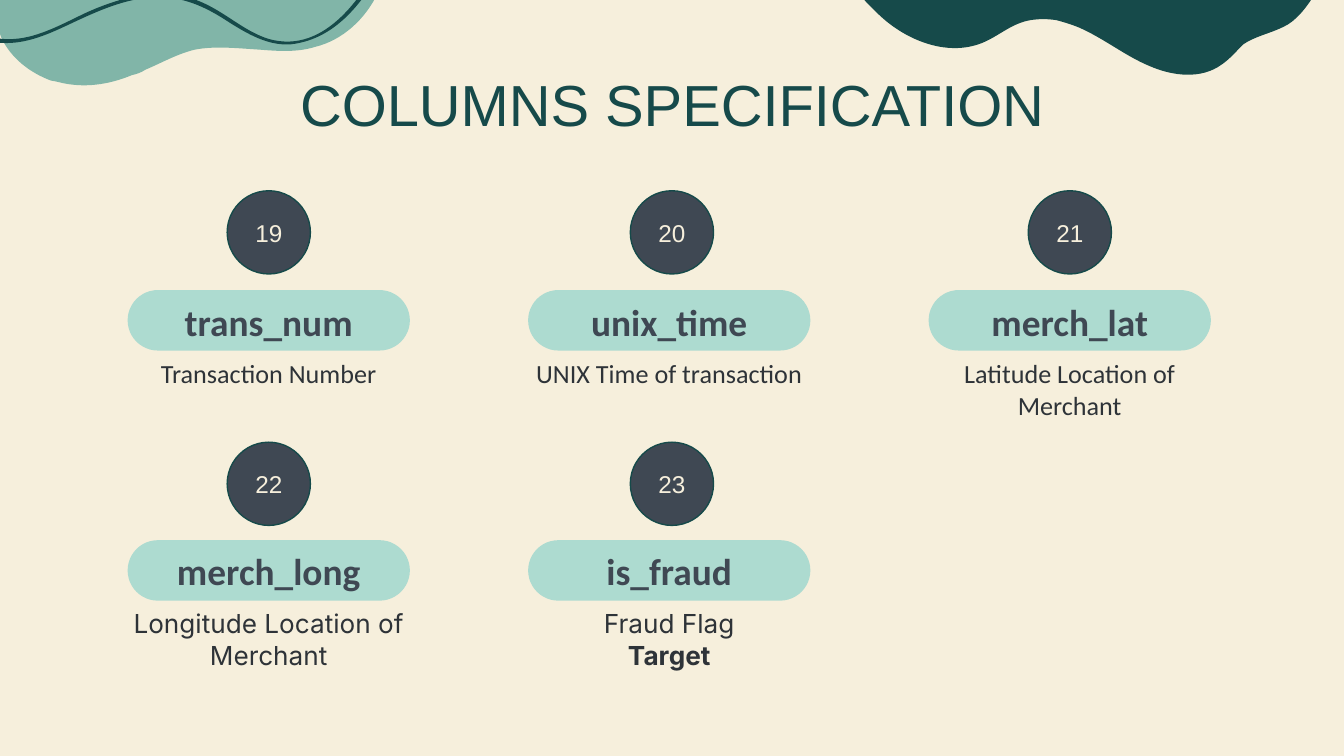
from lxml.etree import SubElement
from pptx import Presentation
from pptx.dml.color import RGBColor
from pptx.enum.shapes import MSO_SHAPE as Kind
from pptx.enum.text import MSO_ANCHOR as Anchor, PP_ALIGN as Align
from pptx.oxml.ns import qn
from pptx.util import Pt

COLORS = {
    "cream": "F6EFDC", "sage": "81B5A8", "teal": "164A4A",
    "mint": "ADDBD0", "slate": "3F4853", "ink": "2E3338",
}
TITLE = "COLUMNS SPECIFICATION"

# number, column name, description lines, description font
FIELDS = [
    ("19", "trans_num", ["Transaction Number"], "Calibri"),
    ("20", "unix_time", ["UNIX Time of transaction"], "Calibri"),
    ("21", "merch_lat", ["Latitude Location of Merchant"], "Calibri"),
    ("22", "merch_long", ["Longitude Location of Merchant"], "Inter"),
    ("23", "is_fraud", ["Fraud Flag", "Target"], "Inter"),
]
STRONG = "Target"

# Each outline: a start point, then rows of two control points and an end point
BLOB = [
    (-2.9, -3.6),
    (-2.9, 4.3, -2.2, 12.2, 0.7, 20.2),
    (5.8, 31, 15.8, 38.9, 27.4, 43.2),
    (28.8, 43.2, 30.2, 43.9, 31, 43.9),
    (44.6, 47.5, 58.3, 45.4, 70.6, 40.3),
    (73.4, 39.6, 75.6, 38.9, 77.8, 37.4),
    (86.4, 33.8, 95, 28.8, 104.4, 26.6),
    (115.2, 24.5, 127.4, 25.9, 139, 26.6),
    (149, 27.4, 159.1, 28.1, 168.5, 25.2),
    (183.6, 21.6, 195.8, 10.1, 202.3, -3.6),
]
HILL = [
    (460.1, -2.9),
    (463.7, 0.7, 467.3, 4.3, 470.9, 7.9),
    (486, 22.3, 509, 31, 527.8, 22.3),
    (535.7, 18.7, 542.9, 12.2, 552.2, 10.8),
    (556.6, 10.1, 560.9, 10.1, 565.9, 10.8),
    (571, 12.2, 576, 13.7, 580.3, 15.8),
    (592.6, 21.6, 603.4, 30.2, 615.6, 35.3),
    (628.6, 41, 643.7, 42.5, 654.5, 34.6),
    (658.8, 31.7, 662.4, 27.4, 666, 23.8),
    (672.5, 19.4, 680.4, 18, 687.6, 14.4),
    (694.1, 11.5, 699.8, 4.3, 704.2, -2.9),
]
WAVE = [
    (-46.1, -20.2),
    (-36, 1.4, -19.4, 22.3, 7.2, 20.9),
    (20.9, 20.2, 34.6, 12.2, 46.8, 6.5),
    (58.3, 1.4, 69.8, -2.2, 82.1, -3.6),
    (92.9, -4.3, 103.7, -1.4, 113, 3.6),
    (123.8, 9.4, 132.5, 17.3, 144, 20.9),
    (175, 29.5, 195.1, -3.6, 207.4, -25.9),
    (208.1, -26.6, 209.5, -25.9, 208.8, -24.5),
    (197.3, -2.9, 182.2, 20.9, 155.5, 23.8),
    (143.3, 24.5, 132.5, 18, 123.1, 12.2),
    (110.2, 3.6, 97.9, -2.2, 82.1, -1.4),
    (67, -0.7, 52.6, 5.8, 38.9, 12.2),
    (26.6, 18, 14.4, 23.8, 0.7, 23),
    (-22.3, 22.3, -38.9, 0, -47.5, -19.4),
    (-48.2, -20.2, -46.8, -21.6, -46.1, -20.2),
]
WAVES = [(BLOB, "sage"), (HILL, "teal"), (WAVE, "teal")]

COLS = 3
LEFT, STEP_X = 68.4, 214.56
PILL_W, PILL_H = 151.2, 32.4
DOT = 44.6
NUDGE = [0, 1.4, 0]  # sideways shift of the circles, per column
DOT_TOPS = [102.2, 236.9]
PILL_TOPS = [155.4, 289.4]
NAME_TOPS = [156, 289.4]
NOTE_GAP, NOTE_H = 36.2, 36


def rgb(name):
    return RGBColor.from_string(COLORS[name])


def paint(shape, fill, line=None):
    shape.shadow.inherit = False
    shape.fill.solid()
    shape.fill.fore_color.rgb = rgb(fill)
    if line:
        shape.line.color.rgb = rgb(line)
        shape.line.width = Pt(0.75)
    else:
        shape.line.fill.background()


def write(shape, lines, font, size, color, bold=False, anchor=Anchor.TOP):
    frame = shape.text_frame
    frame.text = "\n".join(lines)
    frame.word_wrap = True
    frame.vertical_anchor = anchor
    frame.margin_left = frame.margin_right = Pt(0)
    frame.margin_top = frame.margin_bottom = Pt(0)
    for para in frame.paragraphs:
        para.alignment = Align.CENTER
        for run in para.runs:
            run.font.name = font
            run.font.size = Pt(size)
            run.font.bold = bold or run.text == STRONG
            run.font.color.rgb = rgb(color)


def add_text(shapes, left, top, width, height, *args, **style):
    box = shapes.add_textbox(Pt(left), Pt(top), Pt(width), Pt(height))
    write(box, *args, **style)


def curve(shape):
    """Turn each three line segments of a freeform into one cubic curve."""
    lines = list(shape.element.iter(qn("a:lnTo")))
    for i in range(0, len(lines), 3):
        trio = lines[i:i + 3]
        track = trio[0].getparent()
        cubic = SubElement(track, qn("a:cubicBezTo"))
        track.replace(trio[0], cubic)
        for line in trio:
            cubic.append(line[0])
        for line in trio[1:]:
            track.remove(line)


def add_wave(shapes, outline, color):
    start, *rows = outline
    points = [(Pt(row[i]), Pt(row[i + 1])) for row in rows for i in (0, 2, 4)]
    maker = shapes.build_freeform(Pt(start[0]), Pt(start[1]))
    maker.add_line_segments(points, close=True)
    shape = maker.convert_to_shape()
    curve(shape)
    paint(shape, color)


def add_field(shapes, index, field):
    number, name, note, font = field
    row, col = divmod(index, COLS)
    left, top = LEFT + col * STEP_X, PILL_TOPS[row]

    pill = shapes.add_shape(Kind.ROUNDED_RECTANGLE, Pt(left), Pt(top),
                            Pt(PILL_W), Pt(PILL_H))
    pill.adjustments[0] = 0.5
    paint(pill, "mint")
    add_text(shapes, left, NAME_TOPS[row], PILL_W, PILL_H, [name],
             "Calibri", 20, "slate", bold=True, anchor=Anchor.MIDDLE)
    add_text(shapes, left, top + NOTE_GAP, PILL_W, NOTE_H, note,
             font, 14, "ink")

    dot_x = left + (PILL_W - DOT) / 2 + NUDGE[col]
    dot = shapes.add_shape(Kind.OVAL, Pt(dot_x), Pt(DOT_TOPS[row]),
                           Pt(DOT), Pt(DOT))
    paint(dot, "slate", "teal")
    write(dot, [number], "Arial", 13, "cream", anchor=Anchor.MIDDLE)


def main():
    deck = Presentation()
    deck.slide_width, deck.slide_height = Pt(720), Pt(405)
    slide = deck.slides.add_slide(deck.slide_layouts[6])
    slide.background.fill.solid()
    slide.background.fill.fore_color.rgb = rgb("cream")
    shapes = slide.shapes

    for outline, color in WAVES:
        add_wave(shapes, outline, color)
    add_text(shapes, 56.2, 36.7, 607.6, 36, [TITLE], "Arial", 31, "teal")
    for index, field in enumerate(FIELDS):
        add_field(shapes, index, field)
    deck.save("out.pptx")


if __name__ == "__main__":
    main()
